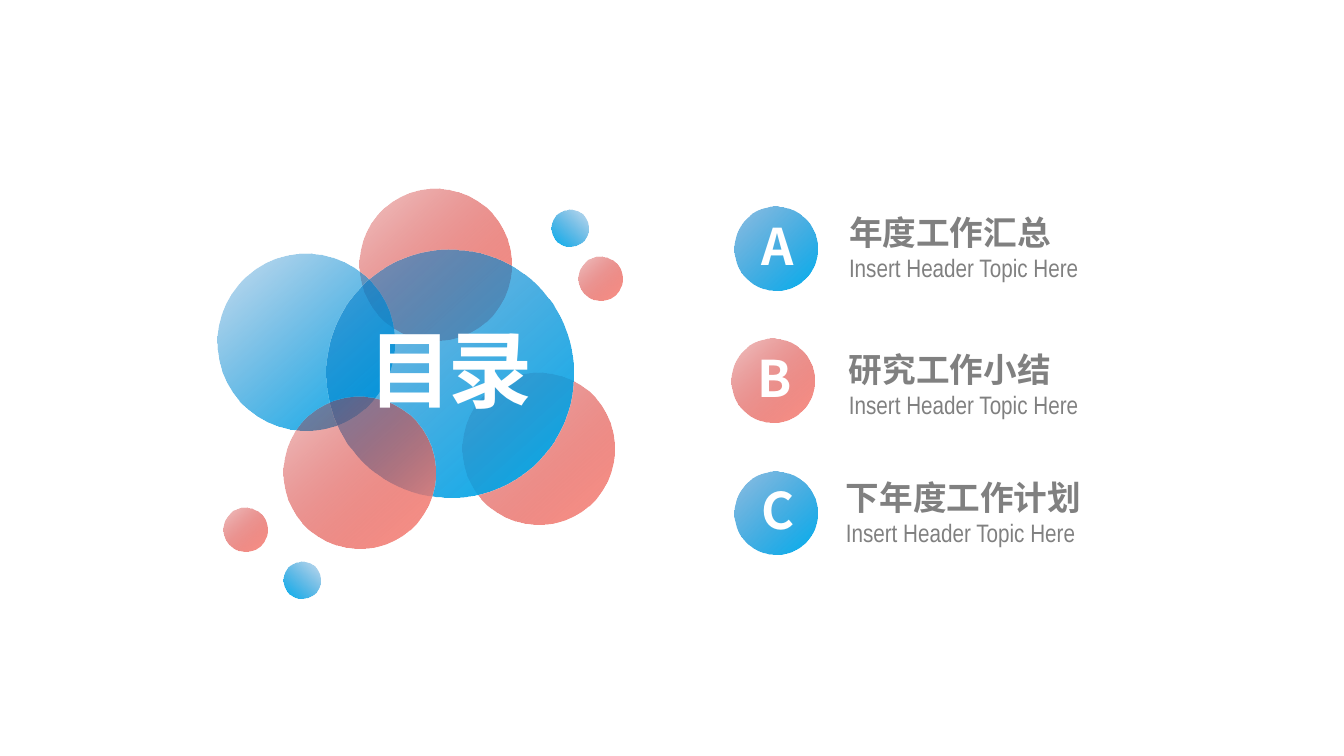
from lxml import etree
from pptx import Presentation
from pptx import util as u
from pptx.dml.color import RGBColor
from pptx.enum import shapes, text
from pptx.oxml import parse_xml
from pptx.oxml.ns import nsdecls, qn

WHITE = RGBColor(0xFF, 0xFF, 0xFF)
GREY = RGBColor(0x80, 0x80, 0x80)
DEEP_BLUE, SKY = RGBColor(0x00, 0x70, 0xC0), RGBColor(0x00, 0xB0, 0xF0)
DEEP_RED, CORAL = RGBColor(0xC0, 0x00, 0x00), RGBColor(0xFE, 0x97, 0x8C)
HAN, LATIN = "Noto Sans CJK SC", "Arial Narrow"

# Gradient of each bubble kind: start colour, start opacity in percent, end colour
RED = (DEEP_RED, 22, CORAL)
PALE_BLUE = (DEEP_BLUE, 22, SKY)
BLUE = (DEEP_BLUE, 44, SKY)

deck = Presentation()
deck.slide_width, deck.slide_height = u.Inches(13.33), u.Inches(7.5)
column, row = deck.slide_width / 100, deck.slide_height / 100
slide = deck.slides.add_slide(deck.slide_layouts[5])


def add_bubble(parent, x, y, diameter, gradient, mirrored=False):
    """Draw a gradient circle around (x, y), its diameter counted in rows."""
    size = int(diameter * row)
    bubble = parent.add_shape(shapes.MSO_SHAPE.OVAL, int(x * column - size / 2),
                              int(y * row - size / 2), size, size)
    bubble.shadow.inherit = False
    bubble.line.fill.background()
    bubble.rotation = 87 if mirrored else 273
    properties = bubble.element.spPr
    if mirrored:
        properties.find(qn("a:xfrm")).set("flipH", "1")
    start, opacity, end = gradient
    properties.find(qn("a:prstGeom")).addnext(parse_xml(
        f'<a:gradFill {nsdecls("a")} rotWithShape="1"><a:gsLst>'
        f'<a:gs pos="0"><a:srgbClr val="{start}"><a:alpha val="{opacity * 1000}"/></a:srgbClr></a:gs>'
        f'<a:gs pos="100000"><a:srgbClr val="{end}"/></a:gs>'
        f'</a:gsLst><a:lin ang="{135 * 60000}" scaled="0"/></a:gradFill>'))
    return bubble


def write(box, lines, color, align, spacing=None):
    """Fill a box with (wording, size, font, bold) lines; spacing is in points."""
    frame = box.text_frame
    frame.word_wrap = True
    frame.auto_size = text.MSO_AUTO_SIZE.SHAPE_TO_FIT_TEXT
    frame.vertical_anchor = text.MSO_ANCHOR.TOP
    for index, (wording, size, face, bold) in enumerate(lines):
        paragraph = frame.add_paragraph() if index else frame.paragraphs[0]
        paragraph.text = wording
        paragraph.alignment = align
        font = paragraph.font
        font.size, font.name, font.bold = u.Pt(size), face, bold
        font.color.rgb = color
        defaults = paragraph._p.pPr.find(qn("a:defRPr"))
        etree.SubElement(defaults, qn("a:ea")).set("typeface", face)
        if spacing:
            defaults.set("spc", str(spacing * 100))


bubbles = [
    (32.37, 35, 20.1, RED),
    (40.06, 59.33, 20.1, RED),
    (22.73, 45.2, 23.4, PALE_BLUE),
    (33.5, 49.4, 32.7, BLUE),
    (42.39, 30.13, 4.9, PALE_BLUE, True),
    (44.68, 36.87, 5.8, RED),
    (26.74, 62.53, 20.1, RED),
    (22.51, 76.67, 4.9, PALE_BLUE, True),
    (18.27, 70.07, 5.8, RED),
]
for placing in bubbles:
    front_bubble = add_bubble(slide.shapes, *placing)

heading = slide.shapes.title
front_bubble.element.addnext(heading.element)
heading.left, heading.top = int(24.53 * column), int(41.33 * row)
heading.width, heading.height = int(18 * column), int(14.8 * row)
write(heading, [("目录", 60, HAN, True)], WHITE, text.PP_ALIGN.CENTER, -3)

BADGE_TOP, BADGE_STEP = 32.87, 17.47
LETTER_WIDTH, LETTER_HEIGHT = 9.83, 9.47
TOPIC_HEIGHT = 10.8

# Letter, badge column, badge gradient, topic, topic column, topic row, topic width
agenda = [
    ("A", 57.73, BLUE, "年度工作汇总", 63.17, 27.33, 25.88),
    ("B", 57.5, RED, "研究工作小结", 63.17, 45.47, 21.91),
    ("C", 57.73, BLUE, "下年度工作计划", 62.94, 62.4, 21.46),
]
for number, (letter, badge_x, gradient, topic, topic_x, topic_y, topic_width) in enumerate(agenda):
    badge_y = BADGE_TOP + number * BADGE_STEP
    badge = slide.shapes.add_group_shape().shapes
    add_bubble(badge, badge_x, badge_y, 11, gradient)
    letter_box = badge.add_textbox(
        int((badge_x + 0.15 - LETTER_WIDTH / 2) * column),
        int((badge_y - 0.33 - LETTER_HEIGHT / 2) * row),
        int(LETTER_WIDTH * column), int(LETTER_HEIGHT * row))
    write(letter_box, [(letter, 36, HAN, True)], WHITE, text.PP_ALIGN.CENTER, -3)

    topic_box = slide.shapes.add_textbox(int(topic_x * column), int(topic_y * row),
                                         int(topic_width * column), int(TOPIC_HEIGHT * row))
    topic_box.text_frame.margin_left = 0
    write(topic_box, [(topic, 24, HAN, True), ("Insert Header Topic Here", 18, LATIN, False)],
          GREY, text.PP_ALIGN.LEFT)

deck.save("out.pptx")
